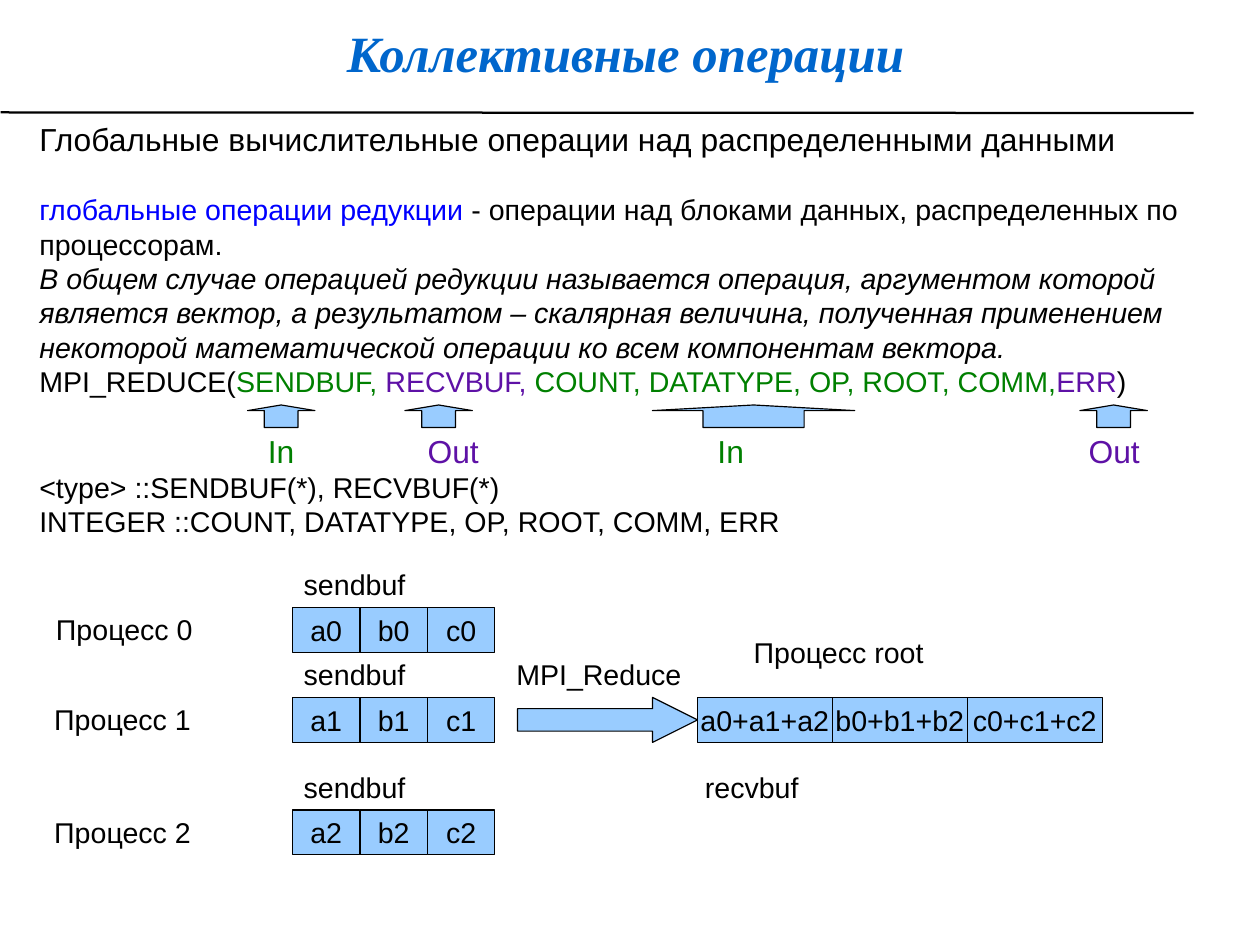
from dataclasses import dataclass

from lxml.etree import SubElement
from pptx import Presentation
from pptx.dml.color import RGBColor
from pptx.enum.shapes import MSO_CONNECTOR as Connector, MSO_SHAPE as Preset
from pptx.enum.text import MSO_ANCHOR as Anchor, PP_ALIGN as Align
from pptx.oxml.ns import qn
from pptx.shapes.autoshape import Shape
from pptx.slide import Slide
from pptx.text.text import Font
from pptx.util import Pt


@dataclass(frozen=True)
class Theme:
    title_font: str = "Times New Roman"
    body_font: str = "Arial"
    title_size: float = 32
    lead_size: float = 20
    body_size: float = 18
    title: str = "0066CC"
    ink: str = "000000"
    term: str = "0000FF"
    input: str = "008000"
    output: str = "5E11A6"
    fill: str = "99CCFF"
    outline: float = 0.75
    rule: float = 1.42


THEME = Theme()


@dataclass(frozen=True)
class Span:
    text: str
    color: str = THEME.ink


@dataclass(frozen=True)
class Line:
    spans: tuple[Span, ...]
    size: float = THEME.body_size
    pitch: float = 21.65
    before: float = 0
    italic: bool = False
    tabs: tuple[float, ...] = ()


@dataclass(frozen=True)
class Label:
    text: str
    left: float
    top: float
    width: float


@dataclass(frozen=True)
class Buffer:
    cells: tuple[str, ...]
    left: float
    top: float
    cell_width: float


@dataclass(frozen=True)
class Arrow:
    preset: Preset
    left: float
    top: float
    width: float
    height: float
    head: float


BODY = (
    Line((Span("Глобальные вычислительные операции над распределенными данными"),),
         size=THEME.lead_size, pitch=24),
    Line((Span("глобальные операции редукции", THEME.term),
          Span(" - операции над блоками данных, распределенных по процессорам.")),
         before=21.4),
    Line((Span("В общем случае операцией редукции называется операция, аргументом "
               "которой является вектор, а результатом – скалярная величина, "
               "полученная применением некоторой математической операции ко всем "
               "компонентам вектора."),), italic=True),
    Line((Span("MPI_REDUCE("), Span("SENDBUF, ", THEME.input),
          Span("RECVBUF,", THEME.output),
          Span(" COUNT, DATATYPE, OP, ROOT, COMM,", THEME.input),
          Span("ERR", THEME.output), Span(")"))),
    Line((Span("\tIn", THEME.input), Span("\tOut", THEME.output),
          Span("\tIn", THEME.input), Span("\tOut", THEME.output)),
         size=THEME.lead_size, pitch=24, before=21,
         tabs=(144, 244.6, 427.2, 661)),
    Line((Span("<type> ::SENDBUF(*), RECVBUF(*)"),)),
    Line((Span("INTEGER ::COUNT, DATATYPE, OP, ROOT, COMM, ERR"),)),
)

CELL_HEIGHT = 28.35
LABEL_HEIGHT = 28.8
SEND_LEFT = 184.25
ROW_TOPS = (382.6, 439.3, 510.2)

BUFFERS = (
    *(Buffer(tuple(f"{name}{row}" for name in "abc"), SEND_LEFT, top, 42.5)
      for row, top in enumerate(ROW_TOPS)),
    Buffer(tuple("+".join(f"{name}{row}" for row in range(len(ROW_TOPS)))
                 for name in "abc"), 439.3, ROW_TOPS[1], 85.04),
)

LABELS = (
    *(Label(f"Процесс {row}", left, top - 0.5, 102)
      for row, (left, top) in enumerate(zip((28.2, 27.1, 27.1), ROW_TOPS))),
    *(Label("sendbuf", SEND_LEFT, top - LABEL_HEIGHT, 79) for top in ROW_TOPS),
    Label("recvbuf", 437, ROW_TOPS[2] - LABEL_HEIGHT, 74),
    Label("MPI_Reduce", 318.2, ROW_TOPS[1] - LABEL_HEIGHT, 122),
    Label("Процесс root", 467.7, 396.7, 123),
)

ARROWS = (
    *(Arrow(Preset.UP_ARROW, left, 255.1, width, 14.2, 0.25)
      for left, width in ((155.9, 42.5), (255.1, 42.5), (411, 127.5), (680.3, 42.5))),
    Arrow(Preset.RIGHT_ARROW, 326, ROW_TOPS[1], 113.4, CELL_HEIGHT, 1),
)


def rgb(color: str) -> RGBColor:
    return RGBColor.from_string(color)


def style(font: Font, name: str, size: float, color: str) -> None:
    font.name = name
    font.size = Pt(size)
    font.color.rgb = rgb(color)


def add_box(page: Slide, left: float, top: float, width: float, height: float) -> Shape:
    return page.shapes.add_textbox(Pt(left), Pt(top), Pt(width), Pt(height))


def add_preset(page: Slide, preset: Preset, left: float, top: float,
               width: float, height: float) -> Shape:
    shape = page.shapes.add_shape(preset, Pt(left), Pt(top), Pt(width), Pt(height))
    shape.shadow.inherit = False
    shape.fill.solid()
    shape.fill.fore_color.rgb = rgb(THEME.fill)
    shape.line.color.rgb = rgb(THEME.ink)
    shape.line.width = Pt(THEME.outline)
    return shape


def write_caption(shape: Shape, text: str, align: Align) -> None:
    shape.text_frame.word_wrap = False
    para = shape.text_frame.paragraphs[0]
    para.text = text
    para.alignment = align
    style(para.font, THEME.body_font, THEME.body_size, THEME.ink)


def draw_title(page: Slide) -> None:
    frame = add_box(page, 0, 0, 780, 59).text_frame
    frame.word_wrap = True
    frame.vertical_anchor = Anchor.MIDDLE
    frame.margin_left = Pt(8.5)
    frame.margin_right = frame.margin_top = frame.margin_bottom = 0
    para = frame.paragraphs[0]
    para.text = "Коллективные операции"
    para.alignment = Align.CENTER
    para.line_spacing = 1.16
    para.space_before = Pt(13)
    style(para.font, THEME.title_font, THEME.title_size, THEME.title)
    para.font.bold = para.font.italic = True


def draw_rule(page: Slide) -> None:
    rule = page.shapes.add_connector(Connector.STRAIGHT, Pt(0.4), Pt(70.8), Pt(752), Pt(71.2))
    rule.line.color.rgb = rgb(THEME.ink)
    rule.line.width = Pt(THEME.rule)
    SubElement(rule.line._get_or_add_ln().getparent(), qn("a:effectLst"))


def draw_body(page: Slide) -> None:
    frame = add_box(page, 17.7, 72, 733.7, 282.2).text_frame
    frame.word_wrap = True
    for index, line in enumerate(BODY):
        para = frame.add_paragraph() if index else frame.paragraphs[0]
        para.line_spacing = Pt(line.pitch)
        para.space_before = Pt(line.before)
        if line.tabs:
            stops = SubElement(para._p.get_or_add_pPr(), qn("a:tabLst"))
            for position in line.tabs:
                SubElement(stops, qn("a:tab"), pos=str(Pt(position)), algn="l")
        style(para.font, THEME.body_font, line.size, THEME.ink)
        para.font.italic = line.italic
        for span in line.spans:
            run = para.add_run()
            run.text = span.text
            if span.color != THEME.ink:
                run.font.color.rgb = rgb(span.color)


def draw_buffer(page: Slide, buffer: Buffer) -> None:
    for column, text in enumerate(buffer.cells):
        cell = add_preset(page, Preset.RECTANGLE, buffer.left + column * buffer.cell_width,
                          buffer.top, buffer.cell_width, CELL_HEIGHT)
        cell.text_frame.vertical_anchor = Anchor.MIDDLE
        write_caption(cell, text, Align.CENTER)


def draw_arrow(page: Slide, arrow: Arrow) -> None:
    shape = add_preset(page, arrow.preset, arrow.left, arrow.top, arrow.width, arrow.height)
    shape.adjustments[0] = 0.5
    shape.adjustments[1] = arrow.head


def main() -> None:
    deck = Presentation()
    deck.slide_width, deck.slide_height = Pt(793.75), Pt(595.25)
    page = deck.slides.add_slide(deck.slide_layouts[6])
    draw_title(page)
    draw_rule(page)
    draw_body(page)
    for arrow in ARROWS:
        draw_arrow(page, arrow)
    for buffer in BUFFERS:
        draw_buffer(page, buffer)
    for label in LABELS:
        write_caption(add_box(page, label.left, label.top, label.width, LABEL_HEIGHT),
                      label.text, Align.LEFT)
    deck.save("out.pptx")


if __name__ == "__main__":
    main()
